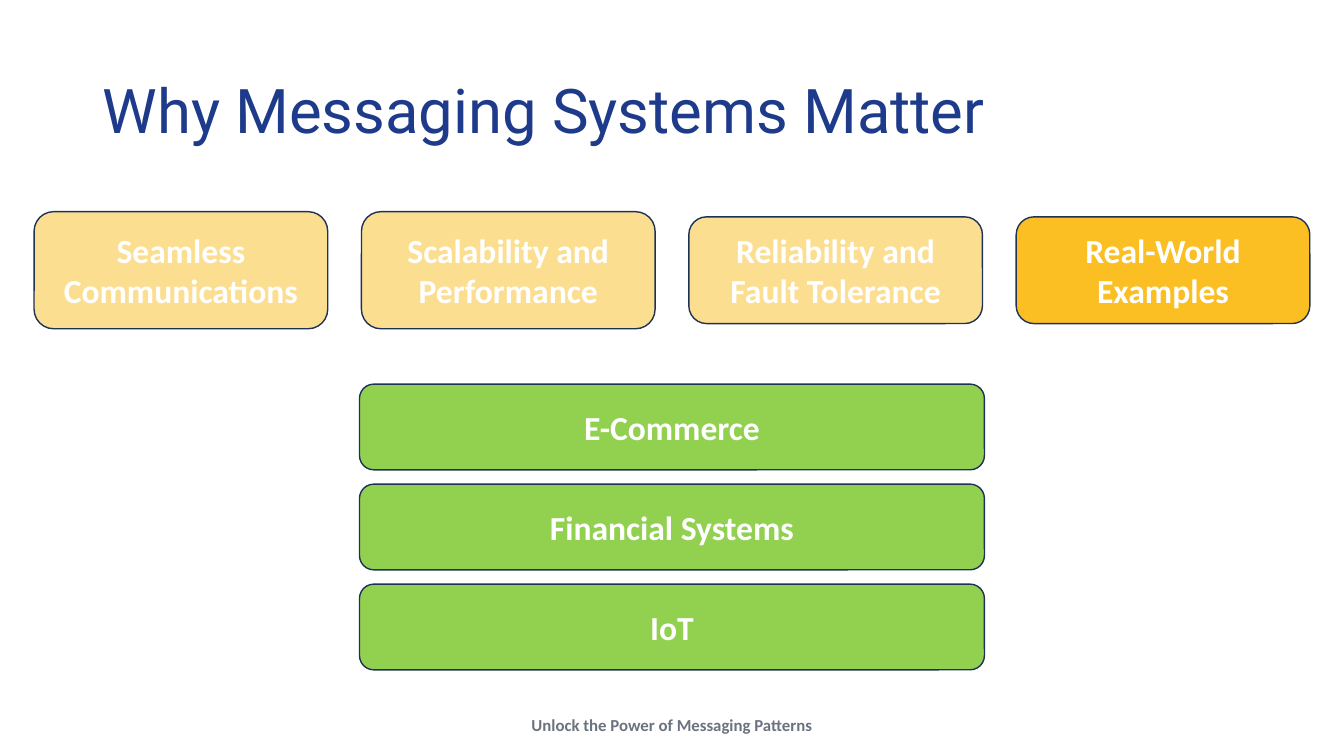
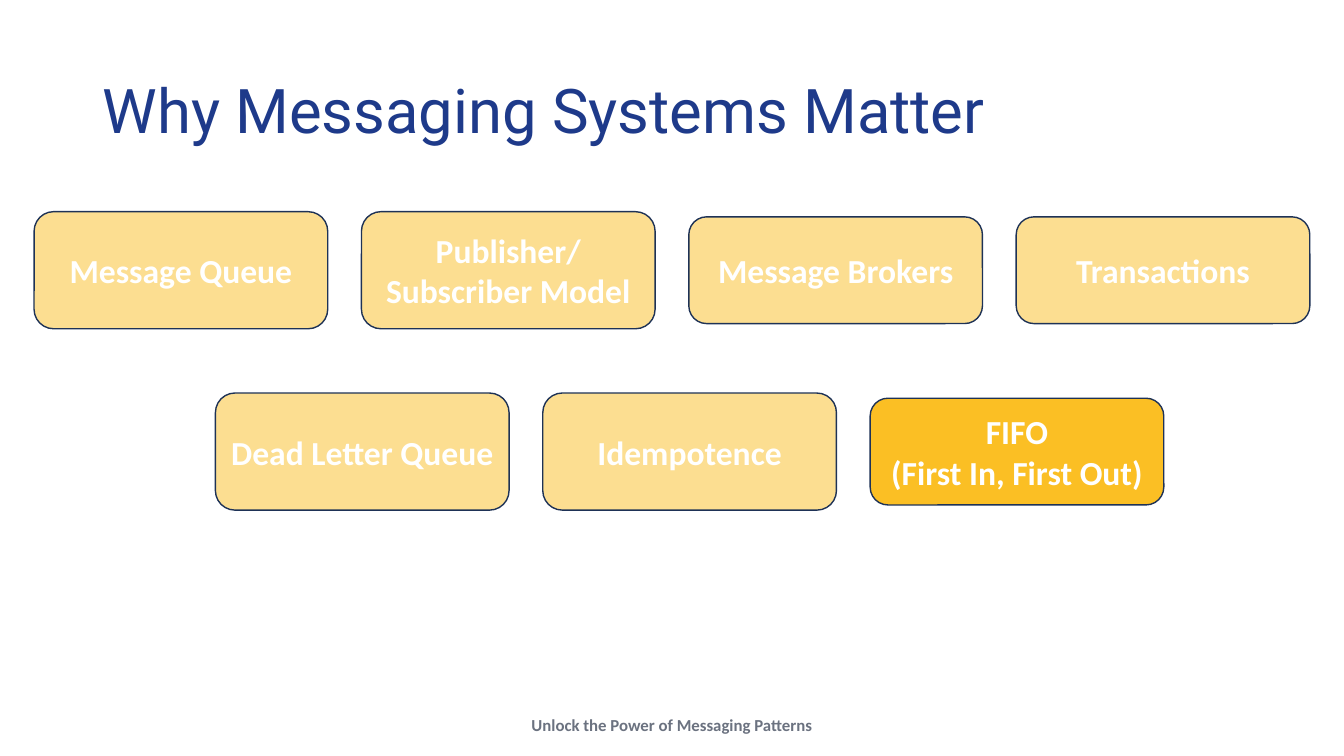
from dataclasses import dataclass

import pptx
import pptx.dml.color
import pptx.enum.shapes
import pptx.enum.text
import pptx.oxml.ns
import pptx.presentation
import pptx.shapes.autoshape
import pptx.slide
import pptx.text.text
from lxml import etree
from pptx.dml.color import RGBColor
from pptx.util import Cm, Pt

NAVY = RGBColor(0x1E, 0x3A, 0x8A)
OUTLINE = RGBColor(0x1E, 0x32, 0x56)
AMBER = RGBColor(0xFB, 0xBF, 0x24)
GREEN = RGBColor(0x92, 0xD0, 0x50)
GRAY = RGBColor(0x6B, 0x72, 0x80)
WHITE = RGBColor(0xFF, 0xFF, 0xFF)

TITLE_FONT = "Roboto"
BODY_FONT = "Calibri"
TITLE = "Why Messaging Systems Matter"
FOOTER = "Unlock the Power of Messaging Patterns"

SLIDE_WIDTH = Cm(33.87)
SLIDE_HEIGHT = Cm(19.05)
TITLE_ONLY_LAYOUT = 5

CARD_WIDTH = Cm(7.4)
CARD_PITCH = Cm(8.25)
TALL_CARD = Cm(2.95)
SHORT_CARD = Cm(2.69)
TALL_CARDS_PER_ROW = 2

BAR_WIDTH = Cm(15.75)
BAR_HEIGHT = Cm(2.16)
BAR_PITCH = Cm(2.52)
BARS_TOP = Cm(9.68)


@dataclass(frozen=True)
class CardRow:
    left: int
    middle: int
    labels: tuple[str, ...]


@dataclass(frozen=True)
class SlideContent:
    rows: tuple[CardRow, ...]
    highlighted: str
    bars: tuple[str, ...] = ()


FIRST_ROW = (Cm(0.86), Cm(6.81))
SECOND_ROW = (Cm(5.43), Cm(11.38))

SLIDES = (
    SlideContent(
        rows=(
            CardRow(*FIRST_ROW, (
                "Seamless Communications",
                "Scalability and Performance",
                "Reliability and Fault Tolerance",
                "Real-World Examples",
            )),
        ),
        highlighted="Real-World Examples",
        bars=("E-Commerce", "Financial Systems", "IoT"),
    ),
    SlideContent(
        rows=(
            CardRow(*FIRST_ROW, (
                "Message Queue",
                "Publisher/ Subscriber Model",
                "Message Brokers",
                "Transactions",
            )),
            CardRow(*SECOND_ROW, (
                "Dead Letter Queue",
                "Idempotence",
                "FIFO\v(First In, First Out)",
            )),
        ),
        highlighted="FIFO\v(First In, First Out)",
    ),
)


def style_paragraph(
    paragraph: pptx.text.text._Paragraph,
    font_name: str,
    size: int,
    color: RGBColor,
    bold: bool,
    alignment: pptx.enum.text.PP_ALIGN,
) -> None:
    paragraph.alignment = alignment
    paragraph.font.name = font_name
    paragraph.font.size = Pt(size)
    paragraph.font.bold = bold
    paragraph.font.color.rgb = color


def set_opacity(shape: pptx.shapes.autoshape.Shape, percent: int) -> None:
    color = shape.fill._xPr.find(".//" + pptx.oxml.ns.qn("a:srgbClr"))
    alpha = etree.SubElement(color, pptx.oxml.ns.qn("a:alpha"))
    alpha.set("val", str(percent * 1000))


def add_box(
    slide: pptx.slide.Slide,
    left: int,
    top: int,
    width: int,
    height: int,
    label: str,
    fill: RGBColor,
) -> pptx.shapes.autoshape.Shape:
    shape = slide.shapes.add_shape(
        pptx.enum.shapes.MSO_SHAPE.ROUNDED_RECTANGLE, left, top, width, height
    )
    shape.shadow.inherit = False
    shape.fill.solid()
    shape.fill.fore_color.rgb = fill
    shape.line.color.rgb = OUTLINE
    shape.line.width = Pt(1)
    frame = shape.text_frame
    frame.word_wrap = True
    frame.vertical_anchor = pptx.enum.text.MSO_ANCHOR.MIDDLE
    paragraph = frame.paragraphs[0]
    paragraph.text = label
    style_paragraph(
        paragraph, BODY_FONT, 24, WHITE, True, pptx.enum.text.PP_ALIGN.CENTER
    )
    return shape


def add_card_row(slide: pptx.slide.Slide, row: CardRow, highlighted: str) -> None:
    """Centre the cards on the row's middle and fade all but the highlighted one."""
    for index, label in enumerate(row.labels):
        height = TALL_CARD if index < TALL_CARDS_PER_ROW else SHORT_CARD
        left = row.left + index * CARD_PITCH
        top = row.middle - height // 2
        card = add_box(slide, left, top, CARD_WIDTH, height, label, AMBER)
        if label != highlighted:
            set_opacity(card, 50)


def add_bars(slide: pptx.slide.Slide, labels: tuple[str, ...]) -> None:
    left = (SLIDE_WIDTH - BAR_WIDTH) // 2
    for index, label in enumerate(labels):
        top = BARS_TOP + index * BAR_PITCH
        add_box(slide, left, top, BAR_WIDTH, BAR_HEIGHT, label, GREEN)


def set_title(slide: pptx.slide.Slide) -> None:
    title = slide.shapes.title
    title.left, title.top = Cm(2.33), Cm(1.01)
    title.width, title.height = Cm(29.21), Cm(3.68)
    frame = title.text_frame
    frame.text = TITLE
    frame.word_wrap = True
    frame.auto_size = pptx.enum.text.MSO_AUTO_SIZE.NONE
    frame.vertical_anchor = pptx.enum.text.MSO_ANCHOR.MIDDLE
    paragraph = frame.paragraphs[0]
    paragraph.line_spacing = 0.9
    style_paragraph(
        paragraph, TITLE_FONT, 44, NAVY, False, pptx.enum.text.PP_ALIGN.LEFT
    )


def add_footer(slide: pptx.slide.Slide) -> None:
    width = Cm(7.7)
    left = (SLIDE_WIDTH - width) // 2
    footer = slide.shapes.add_textbox(left, Cm(17.88), width, Cm(0.77))
    frame = footer.text_frame
    frame.word_wrap = False
    frame.auto_size = pptx.enum.text.MSO_AUTO_SIZE.SHAPE_TO_FIT_TEXT
    paragraph = frame.paragraphs[0]
    paragraph.text = FOOTER
    style_paragraph(
        paragraph, BODY_FONT, 12, GRAY, True, pptx.enum.text.PP_ALIGN.CENTER
    )


def add_content_slide(
    presentation: pptx.presentation.Presentation, content: SlideContent
) -> None:
    layout = presentation.slide_layouts[TITLE_ONLY_LAYOUT]
    slide = presentation.slides.add_slide(layout)
    add_footer(slide)
    set_title(slide)
    for row in content.rows:
        add_card_row(slide, row, content.highlighted)
    add_bars(slide, content.bars)


def main() -> None:
    presentation = pptx.Presentation()
    presentation.slide_width = SLIDE_WIDTH
    presentation.slide_height = SLIDE_HEIGHT
    for content in SLIDES:
        add_content_slide(presentation, content)
    presentation.save("out.pptx")


if __name__ == "__main__":
    main()
